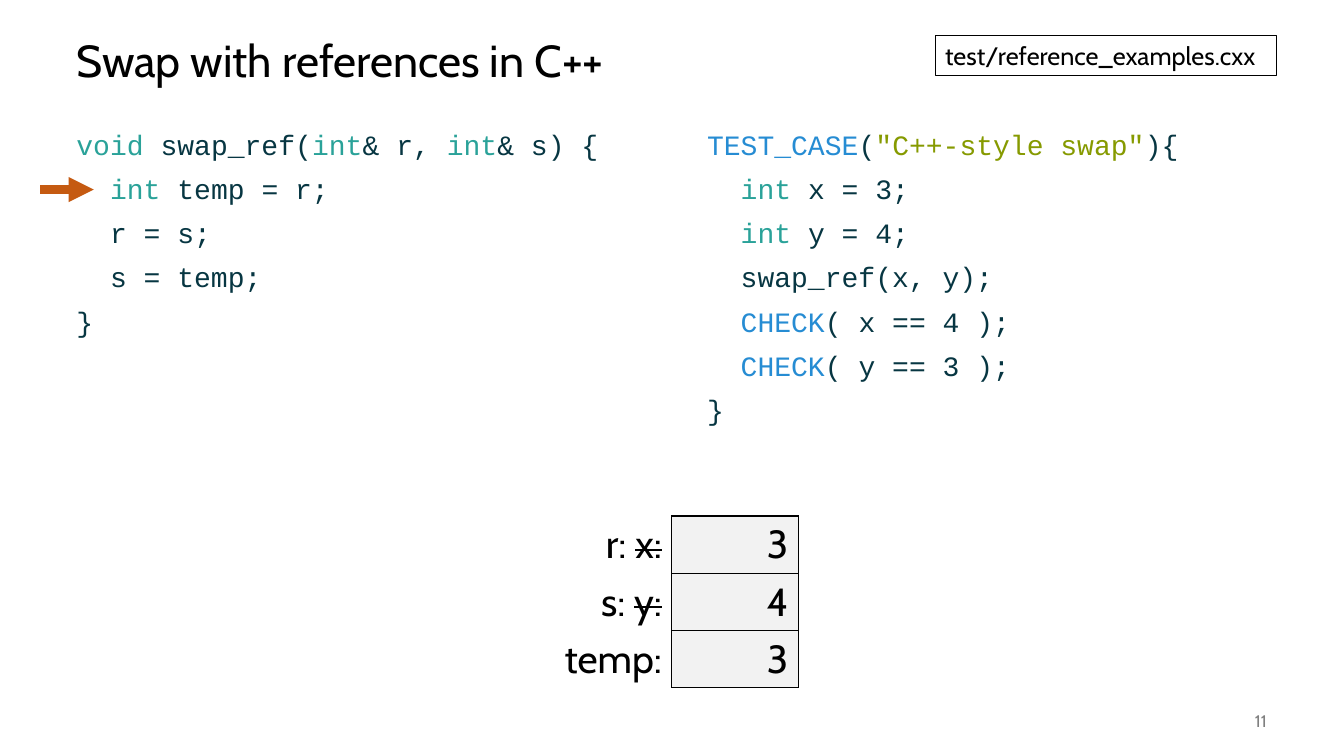
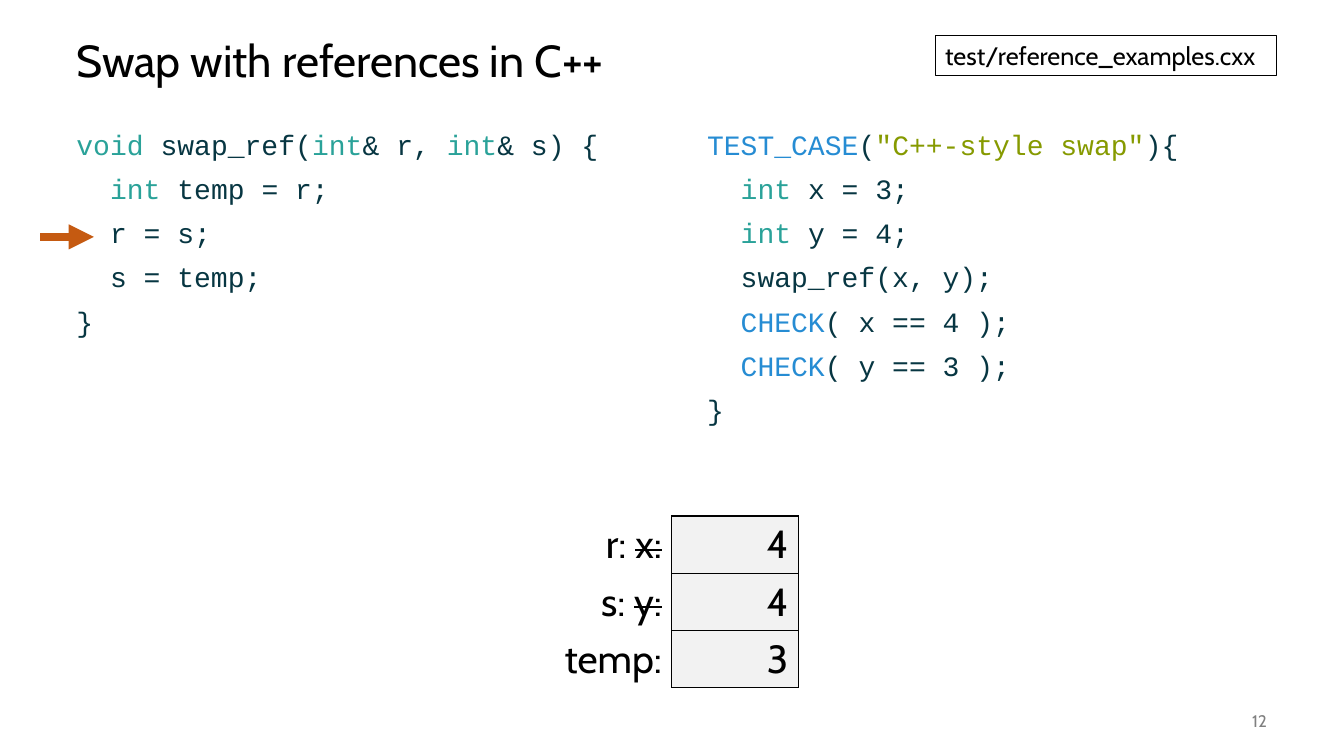
from dataclasses import dataclass

from lxml import etree
from pptx import Presentation
from pptx.dml.color import RGBColor
from pptx.enum import shapes, text
from pptx.oxml import ns
from pptx.util import Pt


@dataclass(frozen=True)
class Theme:
    black: str = "000000"
    gray: str = "808080"
    cell: str = "F2F2F2"
    arrow: str = "C55A11"
    plain: str = "073642"
    keyword: str = "2AA299"
    macro: str = "268CD3"
    string: str = "869A00"
    sans: str = "Cabin"
    mono: str = "Courier New"
    title_size: int = 32
    memory_size: int = 28
    code_size: int = 20
    tag_size: int = 18
    number_size: int = 12


THEME = Theme()
PLAIN, KEYWORD, MACRO, STRING = THEME.plain, THEME.keyword, THEME.macro, THEME.string

# Boxes are left, top, width, height in points
TITLE_BOX = (47.5, 18, 864, 54)
TAG_BOX = (668, 25.2, 244, 28.8)
FUNCTION_BOX = (47.5, 90, 414, 396)
TEST_BOX = (498, 90, 414, 396)
MEMORY_BOX = (389.5, 368.6, 180.8, 122.7)
NUMBER_BOX = (840, 500.4, 72, 28.8)

TITLE = "Swap with references in C++"
FILE_NAME = "test/reference_examples.cxx"

FUNCTION_CODE = [
    [("void ", KEYWORD), ("swap_ref(", PLAIN), ("int", KEYWORD), ("& r, ", PLAIN),
     ("int", KEYWORD), ("& s) {", PLAIN)],
    [("  int ", KEYWORD), ("temp = r;", PLAIN)],
    [("  r = s;", PLAIN)],
    [("  s = temp;", PLAIN)],
    [("}", PLAIN)],
]
TEST_CODE = [
    [("TEST_CASE", MACRO), ("(", PLAIN), ('"C++‑style swap"', STRING), ("){", PLAIN)],
    [("  int ", KEYWORD), ("x = 3;", PLAIN)],
    [("  int ", KEYWORD), ("y = 4;", PLAIN)],
    [("  swap_ref(x, y);", PLAIN)],
    [("  CHECK", MACRO), ("( x == 4 );", PLAIN)],
    [("  CHECK", MACRO), ("( y == 3 );", PLAIN)],
    [("}", PLAIN)],
]
# Current name and struck-out former name of each variable
VARIABLES = [("r: ", "x:"), ("s: ", "y:"), ("temp:", "")]

# Page number, current line of the function, values of the variables
STEPS = [
    (11, 1, (3, 4, 3)),
    (12, 2, (4, 4, 3)),
]


def points(box):
    return [Pt(length) for length in box]


def add_run(paragraph, words, color, size, font=THEME.sans, strike=False):
    run = paragraph.add_run()
    run.text = words
    for name, value in {"name": font, "size": Pt(size)}.items():
        setattr(run.font, name, value)
    run.font.color.rgb = RGBColor.from_string(color)
    if strike:
        run.font._element.set("strike", "sngStrike")


def add_text(slide, box, lines, size, font=THEME.sans, anchor=text.MSO_ANCHOR.MIDDLE, **formats):
    """Add a text box whose lines are lists of (words, color)."""
    shape = slide.shapes.add_textbox(*points(box))
    frame = shape.text_frame
    frame.word_wrap = True
    frame.vertical_anchor = anchor
    for index, line in enumerate(lines):
        paragraph = frame.add_paragraph() if index else frame.paragraphs[0]
        for name, value in formats.items():
            setattr(paragraph, name, value)
        if index == 0:
            paragraph.space_before = Pt(0)
        for words, color in line:
            add_run(paragraph, words, color, size, font)
    return shape


def add_code(slide, box, lines):
    add_text(slide, box, lines, THEME.code_size, THEME.mono, text.MSO_ANCHOR.TOP,
             line_spacing=0.9, space_before=Pt(10))


def add_file_tag(slide, box):
    tag = add_text(slide, box, [[(FILE_NAME, THEME.black)]], THEME.tag_size)
    tag.line.color.rgb = RGBColor.from_string(THEME.black)
    tag.line.width = Pt(0.75)


def add_line_arrow(slide, box, line_number):
    """Point at one line of the code in the box, counted from 0."""
    left, top = box[:2]
    y = top + 11.6 + 33.8 * line_number
    arrow = slide.shapes.add_connector(
        shapes.MSO_CONNECTOR.STRAIGHT, *points((left - 18.7, y, left + 19.5, y)))
    arrow.line.color.rgb = RGBColor.from_string(THEME.arrow)
    arrow.line.width = Pt(6)
    etree.SubElement(arrow.line._get_or_add_ln(), ns.qn("a:tailEnd"), type="triangle")
    etree.SubElement(arrow._element.spPr, ns.qn("a:effectLst"))


def set_borders(cell, visible):
    """Draw the sides named in visible (of L, R, T, B) and hide the others."""
    properties = cell._tc.get_or_add_tcPr()
    for index, side in enumerate("LRTB"):
        border = etree.Element(ns.qn(f"a:ln{side}"), w=str(Pt(1)))
        properties.insert(index, border)
        if side in visible:
            fill = etree.SubElement(border, ns.qn("a:solidFill"))
            etree.SubElement(fill, ns.qn("a:srgbClr"), val=THEME.black)
        else:
            etree.SubElement(border, ns.qn("a:noFill"))


def add_memory_table(slide, box, values):
    table = slide.shapes.add_table(len(VARIABLES), 2, *points(box)).table
    table.first_row = table.horz_banding = False
    for row, ((name, former), value) in enumerate(zip(VARIABLES, values)):
        label_cell, value_cell = table.cell(row, 0), table.cell(row, 1)
        label_cell.fill.background()
        value_cell.fill.solid()
        value_cell.fill.fore_color.rgb = RGBColor.from_string(THEME.cell)
        set_borders(label_cell, "R")
        set_borders(value_cell, "LRTB")
        for cell, parts in ((label_cell, (name, former)), (value_cell, (str(value), ""))):
            paragraph = cell.text_frame.paragraphs[0]
            paragraph.alignment = text.PP_ALIGN.RIGHT
            for words, strike in zip(parts, (False, True)):
                if words:
                    add_run(paragraph, words, THEME.black, THEME.memory_size, strike=strike)


def add_step_slide(presentation, number, line_number, values):
    slide = presentation.slides.add_slide(presentation.slide_layouts[6])
    add_text(slide, TITLE_BOX, [[(TITLE, THEME.black)]], THEME.title_size, line_spacing=0.9)
    add_code(slide, FUNCTION_BOX, FUNCTION_CODE)
    add_text(slide, NUMBER_BOX, [[(str(number), THEME.gray)]], THEME.number_size,
             alignment=text.PP_ALIGN.RIGHT)
    add_code(slide, TEST_BOX, TEST_CODE)
    add_memory_table(slide, MEMORY_BOX, values)
    add_line_arrow(slide, FUNCTION_BOX, line_number)
    add_file_tag(slide, TAG_BOX)


def main():
    presentation = Presentation()
    presentation.slide_width, presentation.slide_height = Pt(960), Pt(540)
    for step in STEPS:
        add_step_slide(presentation, *step)
    presentation.save("out.pptx")


if __name__ == "__main__":
    main()
